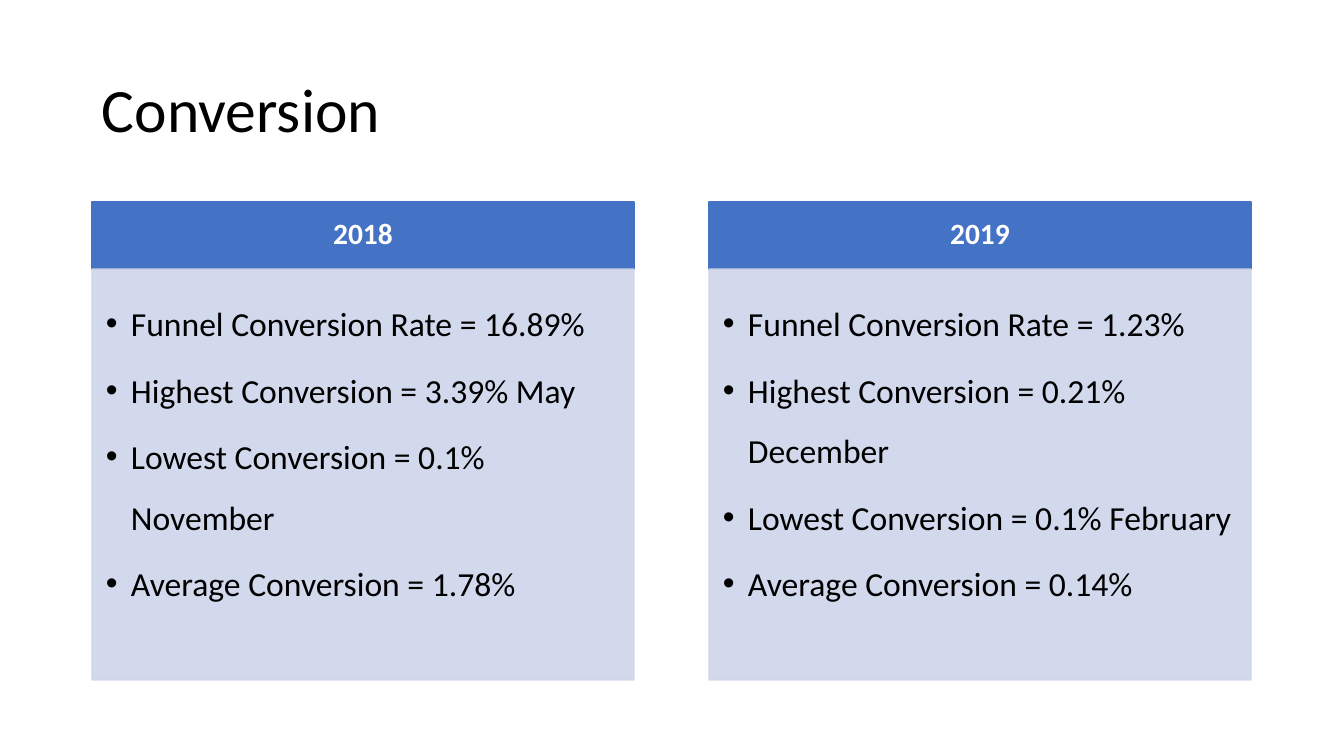
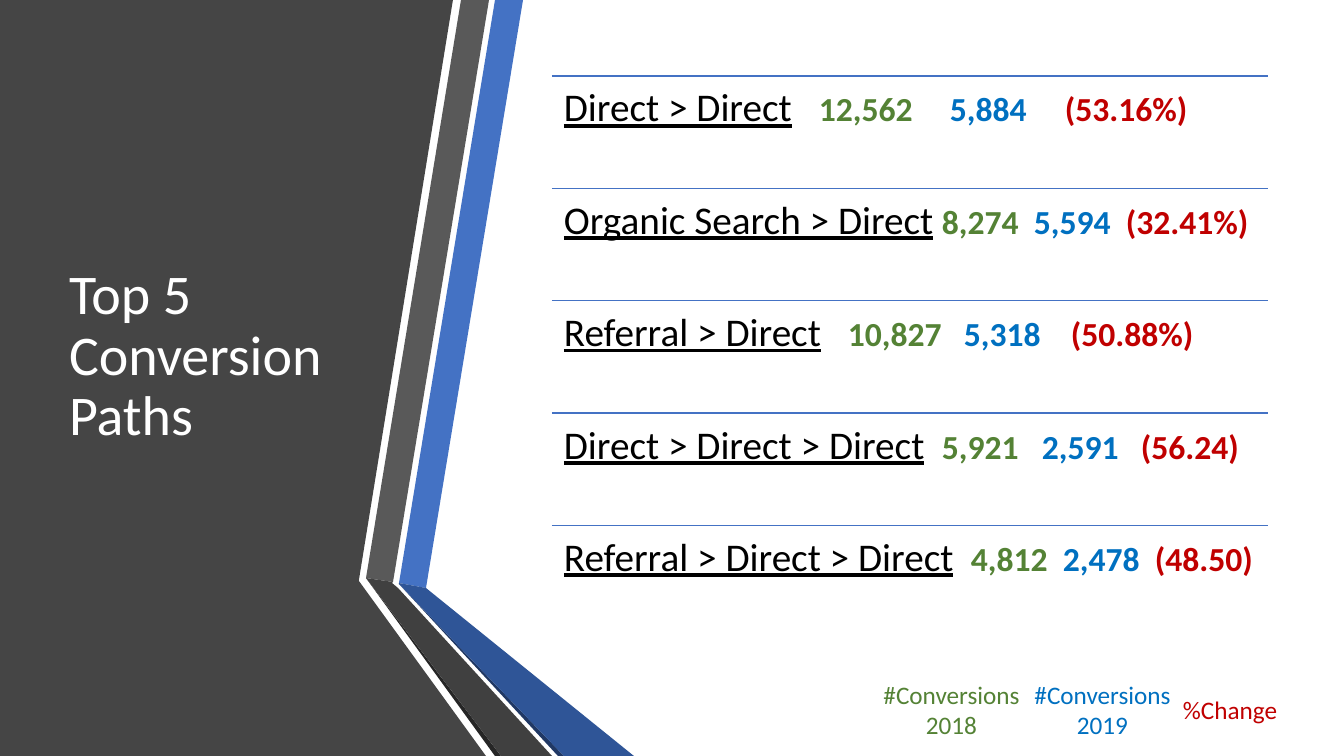
from lxml import etree
from pptx import Presentation
from pptx import util as u
from pptx.dml.color import RGBColor
from pptx.enum import shapes, text
from pptx.oxml.ns import qn

SCALE = 914400 / 100.8
WIDTH, HEIGHT = 1344, 756
FONT = "Calibri"
BLACK, WHITE, BLUE = "000000", "FFFFFF", "4472C4"
PALE_BLUE, CHARCOAL = "CFD5EA", "454545"
GREEN_2018, BLUE_2019, RED_CHANGE = "548235", "0070C0", "C00000"
MIDDLE, TOP = text.MSO_ANCHOR.MIDDLE, text.MSO_ANCHOR.TOP
CENTER = text.PP_ALIGN.CENTER


def px(length):
    """Turn pixels into EMU."""
    return u.Emu(round(length * SCALE))


def color(target, hex_value, alpha=100):
    """Paint a fill or font with a hex colour, alpha in percent."""
    if hasattr(target, "solid"):
        target.solid()
        target = target.fore_color
    else:
        target = target.color
    target.rgb = RGBColor.from_string(hex_value)
    if alpha < 100:
        for tint in target._xFill.iter(qn("a:srgbClr")):
            etree.SubElement(tint, qn("a:alpha"), val=str(alpha * 1000))


def add_run(paragraph, words, size, hex_value, bold=False, underline=False):
    """Add one styled run."""
    run = paragraph.add_run()
    run.text = words
    run.font.name, run.font.size = FONT, u.Pt(size)
    run.font.bold, run.font.underline = bold, underline
    color(run.font, hex_value)


def set_frame(shape, insets=(10, 5, 10, 5), anchor=TOP, wrap=True):
    """Set the insets, anchor and wrapping of a shape's text; return its frame."""
    frame = shape.text_frame
    frame.word_wrap, frame.vertical_anchor = wrap, anchor
    (frame.margin_left, frame.margin_top,
     frame.margin_right, frame.margin_bottom) = map(px, insets)
    return frame


def add_text(slide, box, **frame_options):
    """Add a text box and return its frame."""
    return set_frame(slide.shapes.add_textbox(*map(px, box)), **frame_options)


def add_title(slide, box, words, size, hex_value):
    """Add a slide title centred vertically in its box."""
    paragraph = add_text(slide, box, anchor=MIDDLE).paragraphs[0]
    paragraph.line_spacing = 0.9
    add_run(paragraph, words, size, hex_value)


def add_panel(slide, box, hex_value, alpha=100):
    """Add a rectangle whose fill and outline share a colour."""
    panel = slide.shapes.add_shape(shapes.MSO_SHAPE.RECTANGLE, *map(px, box))
    panel.shadow.inherit = False
    panel.line.width = u.Pt(1)
    color(panel.fill, hex_value, alpha)
    color(panel.line.fill, hex_value, alpha)
    return panel


def add_bullet(paragraph, words, indent=25):
    """Fill a paragraph as a widely spaced bullet."""
    paragraph.alignment = text.PP_ALIGN.LEFT
    paragraph.line_spacing, paragraph.space_after = 1.5, u.Pt(4.3)
    properties = paragraph._p.get_or_add_pPr()
    properties.set("marL", str(px(indent)))
    properties.set("indent", str(-px(indent)))
    etree.SubElement(properties, qn("a:buFont"), typeface="Arial")
    etree.SubElement(properties, qn("a:buChar"), char="•")
    add_run(paragraph, words, 24, BLACK)


def year_card(slide, box, year, facts, header_height=67):
    """Place a year's header band and its bulleted facts in the box."""
    left, top, width, height = box
    header = add_panel(slide, (left, top, width, header_height), BLUE)
    heading = set_frame(header, (16, 9, 16, 9), MIDDLE).paragraphs[0]
    heading.alignment, heading.line_spacing = CENTER, 0.9
    add_run(heading, year, 21, WHITE, bold=True)

    body = add_panel(slide, (left, top + header_height, width,
                             height - header_height), PALE_BLUE, 90)
    frame = set_frame(body, (14, 14, 19, 21))
    for index, fact in enumerate(facts):
        add_bullet(frame.add_paragraph() if index else frame.paragraphs[0], fact)


def add_outline(slide, points, hex_value):
    """Add a closed, borderless polygon."""
    builder = slide.shapes.build_freeform(*points[0], scale=SCALE)
    builder.add_line_segments(points[1:], close=True)
    outline = builder.convert_to_shape()
    outline.shadow.inherit = False
    color(outline.fill, hex_value)
    outline.line.fill.background()


RIBBONS = [
    (CHARCOAL, [(0, 0), (453, 0), (359, 580), (359, 581), (486, 756), (0, 756)]),
    (BLUE, [(399, 583), (426, 588), (523, 0), (495, 0)]),
    ("595959", [(489, 0), (461, 0), (366, 578), (393, 582)]),
    ("262626", [(366, 578), (495, 756), (501, 756)]),
    ("203864", [(399, 584), (558, 756), (564, 756)]),
    ("2F5597", [(399, 584), (564, 756), (634, 756), (426, 588), (399, 583)]),
    ("404040", [(552, 756), (398, 588), (392, 583), (393, 582), (366, 578),
                (501, 756)]),
]


def folded_ribbons(slide, left=0, top=0):
    """Draw the dark side panel and the folded ribbons along its edge."""
    for hex_value, points in RIBBONS:
        add_outline(slide, [(left + x, top + y) for x, y in points], hex_value)


def add_rule(slide, left, top, width):
    """Draw a thin horizontal rule."""
    rule = slide.shapes.add_connector(
        shapes.MSO_CONNECTOR.STRAIGHT, px(left), px(top), px(left + width), px(top))
    rule.line.width = u.Pt(1)
    color(rule.line.fill, BLUE)
    etree.SubElement(rule._element.spPr, qn("a:effectLst"))


def path_row(slide, box, route, figures, stops):
    """Place a ruled row: the route, then its figures at tab stops."""
    left, top, width, _ = box
    add_rule(slide, left, top, width)
    paragraph = add_text(slide, box, insets=(12, 12, 12, 12)).paragraphs[0]
    paragraph.line_spacing = 0.9
    tabs = etree.SubElement(paragraph._p.get_or_add_pPr(), qn("a:tabLst"))
    for stop in stops:
        etree.SubElement(tabs, qn("a:tab"), pos=str(px(stop)), algn="l")
    add_run(paragraph, route, 28, BLACK, underline=True)
    for figure, hex_value in zip(figures, (GREEN_2018, BLUE_2019, RED_CHANGE)):
        add_run(paragraph, "\t" + figure, 24, hex_value, bold=True)


def path_list(slide, box, rows):
    """Divide the box evenly into path rows."""
    left, top, width, height = box
    step = height / len(rows)
    for index, row in enumerate(rows):
        path_row(slide, (left, top + index * step, width, step), *row)


def legend(slide, left, top):
    """Explain the colours of the figures."""
    for offset, words, hex_value in ((0, "#Conversions 2018", GREEN_2018),
                                     (151, "#Conversions 2019", BLUE_2019)):
        label = add_text(slide, (left + offset, top, 159, 72)).paragraphs[0]
        label.alignment = CENTER
        add_run(label, words, 18, hex_value)
    change = add_text(slide, (left + 301, top + 15, 116, 40), wrap=False)
    add_run(change.paragraphs[0], "%Change", 18, RED_CHANGE)


CARDS = [
    ("2018", ["Funnel Conversion Rate = 16.89%", "Highest Conversion = 3.39% May",
              "Lowest Conversion = 0.1% November", "Average Conversion = 1.78%"]),
    ("2019", ["Funnel Conversion Rate = 1.23%", "Highest Conversion = 0.21% December",
              "Lowest Conversion = 0.1% February", "Average Conversion = 0.14%"]),
]
PATHS = [
    ("Direct > Direct", ("12,562", "5,884", "(53.16%)"), (255, 386, 501)),
    ("Organic Search > Direct", ("8,274", "5,594", "(32.41%)"), (378, 470, 562)),
    ("Referral > Direct", ("10,827", "5,318", "(50.88%)"), (284, 400, 507)),
    ("Direct > Direct > Direct", ("5,921", "2,591", "(56.24)"), (378, 478, 577)),
    ("Referral > Direct > Direct", ("4,812", "2,478", "(48.50)"), (407, 499, 591)),
]


def conversion_slide(slide):
    """Compare the conversion of two years side by side."""
    add_title(slide, (92, 40, 1159, 146), "Conversion", 44, BLACK)
    for index, (year, facts) in enumerate(CARDS):
        year_card(slide, (92 + index * 617, 202, 542, 478), year, facts)


def paths_slide(slide):
    """List the top conversion paths beside the folded ribbons."""
    folded_ribbons(slide)
    add_title(slide, (59, 76, 306, 562), "Top 5 Conversion Paths", 40, WHITE)
    path_list(slide, (552, 76, 716, 562), PATHS)
    legend(slide, 872, 674)


deck = Presentation()
deck.slide_width, deck.slide_height = px(WIDTH), px(HEIGHT)
for build in (conversion_slide, paths_slide):
    build(deck.slides.add_slide(deck.slide_layouts[6]))
deck.save("out.pptx")
